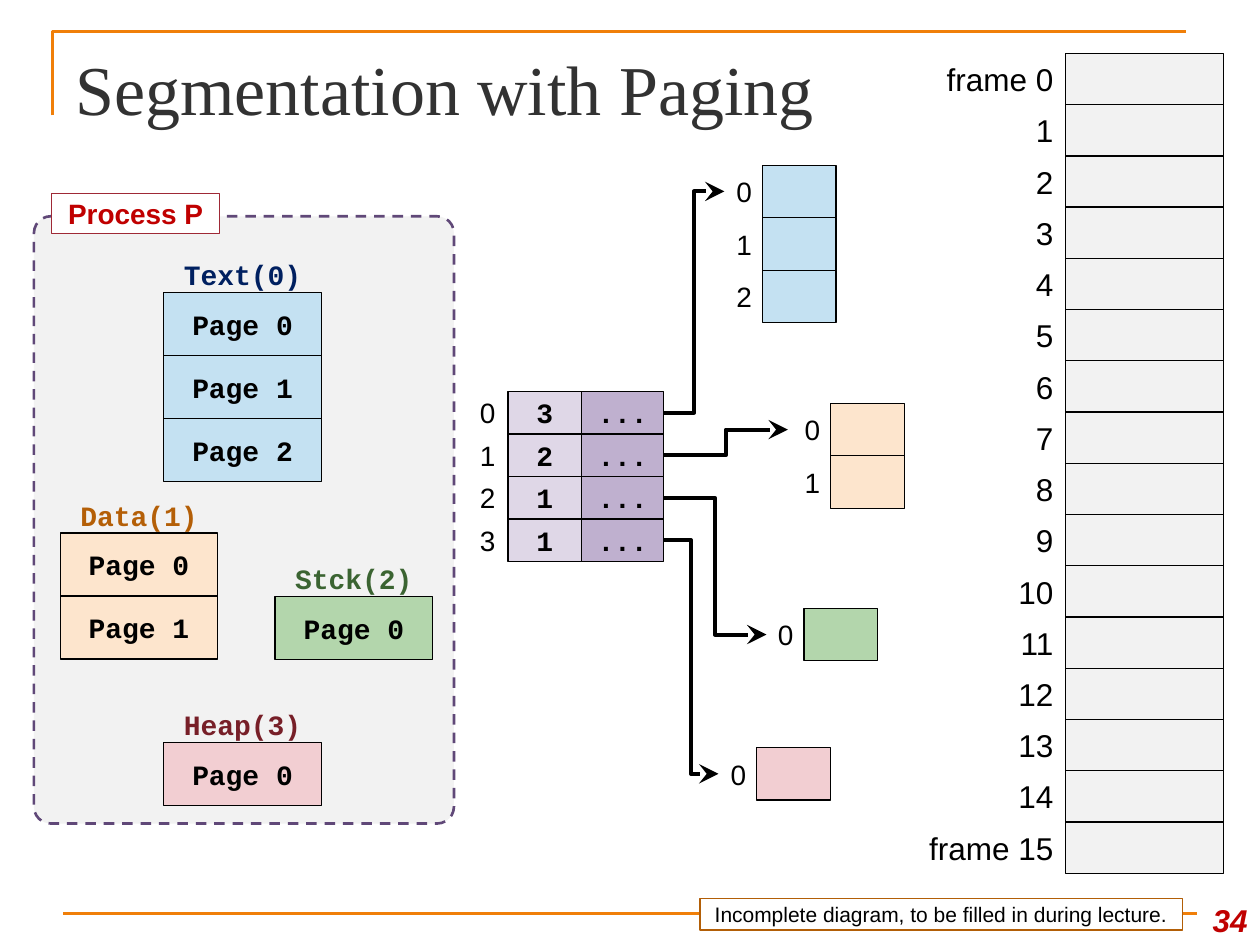
from dataclasses import dataclass

from lxml import etree
from pptx import Presentation
from pptx.dml.color import RGBColor
from pptx.enum.dml import MSO_LINE
from pptx.enum.shapes import MSO_CONNECTOR, MSO_SHAPE
from pptx.enum.text import MSO_ANCHOR, PP_ALIGN
from pptx.oxml.ns import qn
from pptx.util import Pt

RECTANGLE, ROUNDED = MSO_SHAPE.RECTANGLE, MSO_SHAPE.ROUNDED_RECTANGLE
STRAIGHT, ELBOW = MSO_CONNECTOR.STRAIGHT, MSO_CONNECTOR.ELBOW
MIDDLE, BOTTOM = MSO_ANCHOR.MIDDLE, MSO_ANCHOR.BOTTOM
LEFT, CENTER, RIGHT = PP_ALIGN.LEFT, PP_ALIGN.CENTER, PP_ALIGN.RIGHT
DASH = MSO_LINE.DASH

BLACK = RGBColor(0x00, 0x00, 0x00)
WHITE = RGBColor(0xFF, 0xFF, 0xFF)
CHARCOAL = RGBColor(0x32, 0x32, 0x32)
LIGHT_GRAY = RGBColor(0xF2, 0xF2, 0xF2)
ORANGE = RGBColor(0xF0, 0x7F, 0x09)
DARK_ORANGE = RGBColor(0xB2, 0x5E, 0x07)
RED = RGBColor(0xC0, 0x00, 0x00)
CRIMSON = RGBColor(0x9F, 0x29, 0x36)
PURPLE = RGBColor(0x60, 0x48, 0x78)
TEXT_FILL, TEXT_NAME = RGBColor(0xC4, 0xE1, 0xF2), RGBColor(0x00, 0x20, 0x60)
DATA_FILL, DATA_NAME = RGBColor(0xFD, 0xE5, 0xCD), RGBColor(0xB4, 0x5F, 0x07)
STACK_FILL, STACK_NAME = RGBColor(0xB3, 0xD6, 0xAC), RGBColor(0x3B, 0x64, 0x32)
HEAP_FILL, HEAP_NAME = RGBColor(0xF2, 0xCE, 0xD2), RGBColor(0x77, 0x1F, 0x28)
LIMIT_FILL = RGBColor(0xDF, 0xD7, 0xE7)
BASE_FILL = RGBColor(0xBF, 0xB0, 0xCF)


@dataclass(frozen=True)
class Box:
    left: float
    top: float
    width: float
    height: float

    def lengths(self) -> tuple:
        return Pt(self.left), Pt(self.top), Pt(self.width), Pt(self.height)


@dataclass(frozen=True)
class TextStyle:
    size: float = 16
    font: str = "Arial"
    color: RGBColor = BLACK
    bold: bool = False
    italic: bool = False
    align: PP_ALIGN = CENTER
    anchor: MSO_ANCHOR = MIDDLE
    inset: float = 0


@dataclass(frozen=True)
class Column:
    """Cells of equal height, with optional row labels on the left and a heading."""
    first_cell: Box
    fill: RGBColor
    cells: tuple
    labels: tuple = ()
    label_width: float = 22
    label_style: TextStyle = TextStyle(align=RIGHT, inset=6)
    heading: str = ""
    heading_color: RGBColor = BLACK


@dataclass(frozen=True)
class Arrow:
    start_x: float
    start_y: float
    end_x: float
    end_y: float


CODE = TextStyle(font="Courier New", bold=True)
INDEX = TextStyle(align=RIGHT, inset=7.2)
FRAME_LABEL = TextStyle(size=18, align=RIGHT, inset=7.2)
HEADING_HEIGHT = 20.6
ENTRY_TOP, ENTRY_HEIGHT = 223.7, 24.3
FRAME_LABELS = ("frame 0", *(str(number) for number in range(1, 15)), "frame 15")


def segment(left: float, top: float, pages: int, fill: RGBColor,
            name: str, color: RGBColor) -> Column:
    return Column(Box(left, top, 90, 36), fill,
                  tuple(f"Page {page}" for page in range(pages)),
                  heading=name, heading_color=color)


def page_table(left: float, top: float, pages: int, fill: RGBColor) -> Column:
    return Column(Box(left, top, 42.2, 30), fill, ("",) * pages,
                  tuple(str(page) for page in range(pages)))


COLUMNS = (
    segment(93.6, 167.2, 3, TEXT_FILL, "Text(0)", TEXT_NAME),
    segment(34.4, 304.6, 2, DATA_FILL, "Data(1)", DATA_NAME),
    segment(157.2, 340.8, 1, STACK_FILL, "Stck(2)", STACK_NAME),
    segment(93.6, 424.2, 1, HEAP_FILL, "Heap(3)", HEAP_NAME),
    Column(Box(290.2, ENTRY_TOP, 42.2, ENTRY_HEIGHT), LIMIT_FILL,
           ("3", "2", "1", "1"), ("0", "1", "2", "3"), 36, INDEX),
    Column(Box(332.4, ENTRY_TOP, 46.8, ENTRY_HEIGHT), BASE_FILL, ("...",) * 4),
    page_table(435.6, 94.5, 3, TEXT_FILL),
    page_table(474.6, 230.5, 2, DATA_FILL),
    page_table(459.4, 347.6, 1, STACK_FILL),
    page_table(432.4, 427.2, 1, HEAP_FILL),
    Column(Box(609, 30.5, 90, 29.28), LIGHT_GRAY, ("",) * 16,
           FRAME_LABELS, 90, FRAME_LABEL),
)

ARROW_ENDS = ((414, 109.4), (450.2, 245.5), (438, 362.6), (410.6, 442.2))
ARROWS = tuple(
    Arrow(379.2, ENTRY_TOP + (row + 0.5) * ENTRY_HEIGHT, end_x, end_y)
    for row, (end_x, end_y) in enumerate(ARROW_ENDS)
)


def write_text(shape, text: str, style: TextStyle) -> None:
    frame = shape.text_frame
    frame.word_wrap = True
    frame.vertical_anchor = style.anchor
    frame.margin_left = frame.margin_right = Pt(style.inset)
    frame.margin_top = frame.margin_bottom = Pt(3.6 if style.anchor == BOTTOM else 0)
    paragraph = frame.paragraphs[0]
    paragraph.alignment = style.align
    run = paragraph.add_run()
    run.text = text
    font = run.font
    font.name, font.size = style.font, Pt(style.size)
    font.bold, font.italic = style.bold, style.italic
    font.color.rgb = style.color


def add_box(shapes, box: Box, fill: RGBColor, line: RGBColor = BLACK,
            line_width: float = 0.75, kind: MSO_SHAPE = RECTANGLE):
    shape = shapes.add_shape(kind, *box.lengths())
    shape.shadow.inherit = False
    shape.fill.solid()
    shape.fill.fore_color.rgb = fill
    shape.line.color.rgb = line
    shape.line.width = Pt(line_width)
    return shape


def add_label(shapes, box: Box, text: str, style: TextStyle) -> None:
    write_text(shapes.add_textbox(*box.lengths()), text, style)


def add_column(slide, column: Column) -> None:
    shapes = slide.shapes.add_group_shape().shapes
    first = column.first_cell
    for row, text in enumerate(column.cells):
        top = first.top + row * first.height
        cell = add_box(shapes, Box(first.left, top, first.width, first.height), column.fill)
        if text:
            write_text(cell, text, CODE)
        if column.labels:
            label_box = Box(first.left - column.label_width, top,
                            column.label_width, first.height)
            add_label(shapes, label_box, column.labels[row], column.label_style)
    if column.heading:
        heading_box = Box(first.left, first.top - HEADING_HEIGHT, first.width, HEADING_HEIGHT)
        add_label(shapes, heading_box, column.heading,
                  TextStyle(font="Courier New", bold=True, color=column.heading_color))


def add_line(slide, kind: MSO_CONNECTOR, ends: Arrow, color: RGBColor, width: float):
    connector = slide.shapes.add_connector(
        kind, Pt(ends.start_x), Pt(ends.start_y), Pt(ends.end_x), Pt(ends.end_y))
    connector.line.color.rgb = color
    connector.line.width = Pt(width)
    etree.SubElement(connector._element.spPr, qn("a:effectLst"))
    return connector


def add_arrow(slide, arrow: Arrow) -> None:
    connector = add_line(slide, ELBOW, arrow, BLACK, 2.25)
    etree.SubElement(connector.line._get_or_add_ln(), qn("a:tailEnd"),
                     type="stealth", w="lg", len="lg")


def add_corner_rule(slide) -> None:
    builder = slide.shapes.build_freeform(Pt(30), Pt(66))
    builder.add_line_segments([(Pt(30), Pt(18)), (Pt(678), Pt(18))], close=False)
    rule = builder.convert_to_shape()
    rule.shadow.inherit = False
    rule.fill.background()
    rule.line.color.rgb = ORANGE
    rule.line.width = Pt(1.5)


def main() -> None:
    presentation = Presentation()
    presentation.slide_width, presentation.slide_height = Pt(720), Pt(540)
    slide = presentation.slides.add_slide(presentation.slide_layouts[5])
    add_corner_rule(slide)
    add_line(slide, STRAIGHT, Arrow(36, 522, 684, 522), ORANGE, 1.5)

    title = slide.shapes.title
    title.left, title.top, title.width, title.height = Box(36, 21.6, 648, 56.2).lengths()
    write_text(title, "Segmentation with Paging",
               TextStyle(40, "Times New Roman", CHARCOAL, align=LEFT, anchor=BOTTOM, inset=7.2))

    process = add_box(slide.shapes, Box(19.4, 123.6, 240, 347), LIGHT_GRAY, PURPLE, 1.5, ROUNDED)
    process.adjustments[0] = 0.04
    process.line.dash_style = DASH
    process_name = add_box(slide.shapes, Box(29.5, 110.5, 96, 23), WHITE, CRIMSON)
    write_text(process_name, "Process P", TextStyle(color=RED, bold=True))

    for column in COLUMNS:
        add_column(slide, column)
    for arrow in ARROWS:
        add_arrow(slide, arrow)

    note = add_box(slide.shapes, Box(399.8, 513.4, 276, 18.2), WHITE, DARK_ORANGE, 1)
    write_text(note, "Incomplete diagram, to be filled in during lecture.", TextStyle(12))
    add_label(slide.shapes, Box(678, 504, 42, 36), "34",
              TextStyle(18, color=RED, bold=True, italic=True,
                        align=RIGHT, anchor=BOTTOM, inset=7.2))
    presentation.save("out.pptx")


if __name__ == "__main__":
    main()
